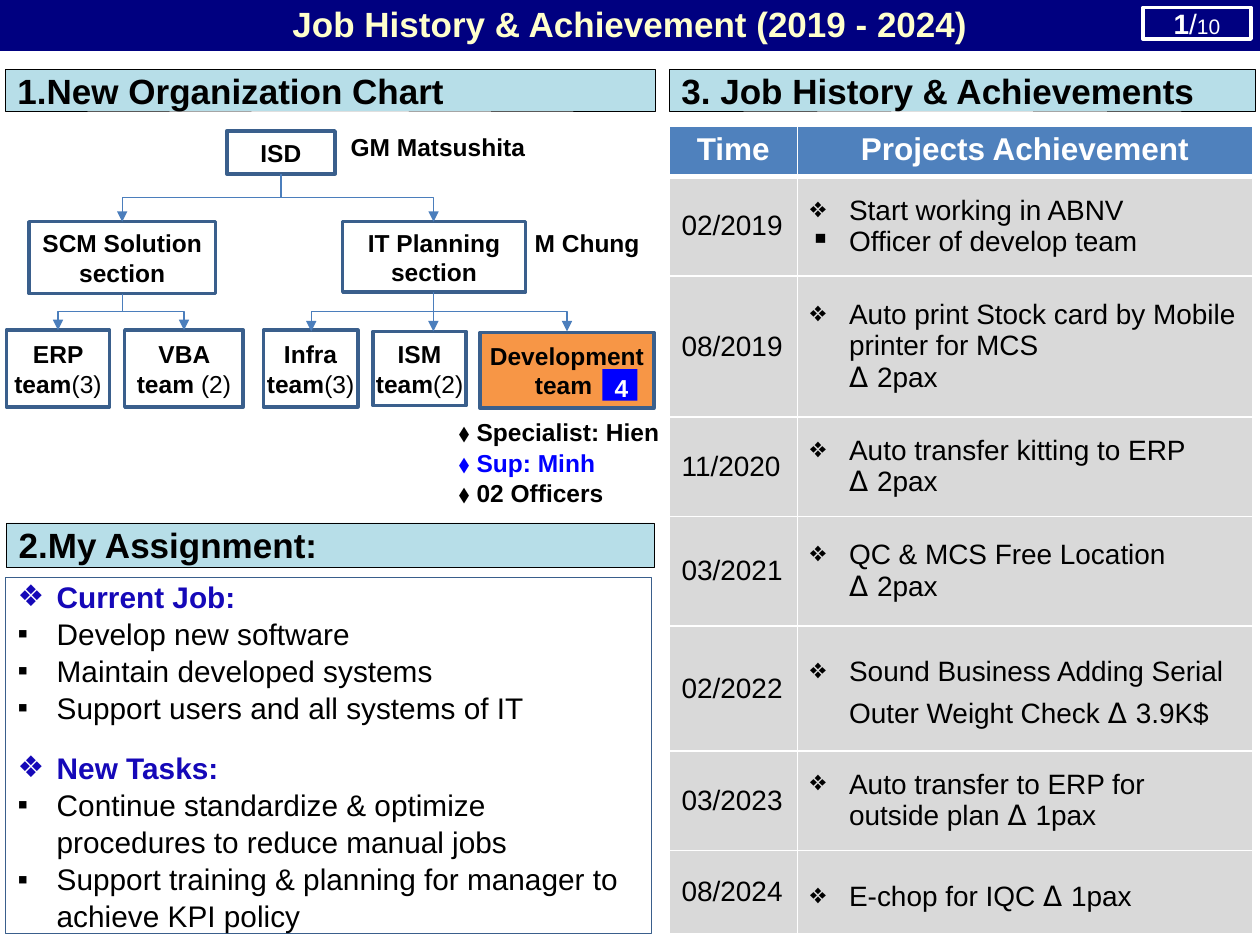
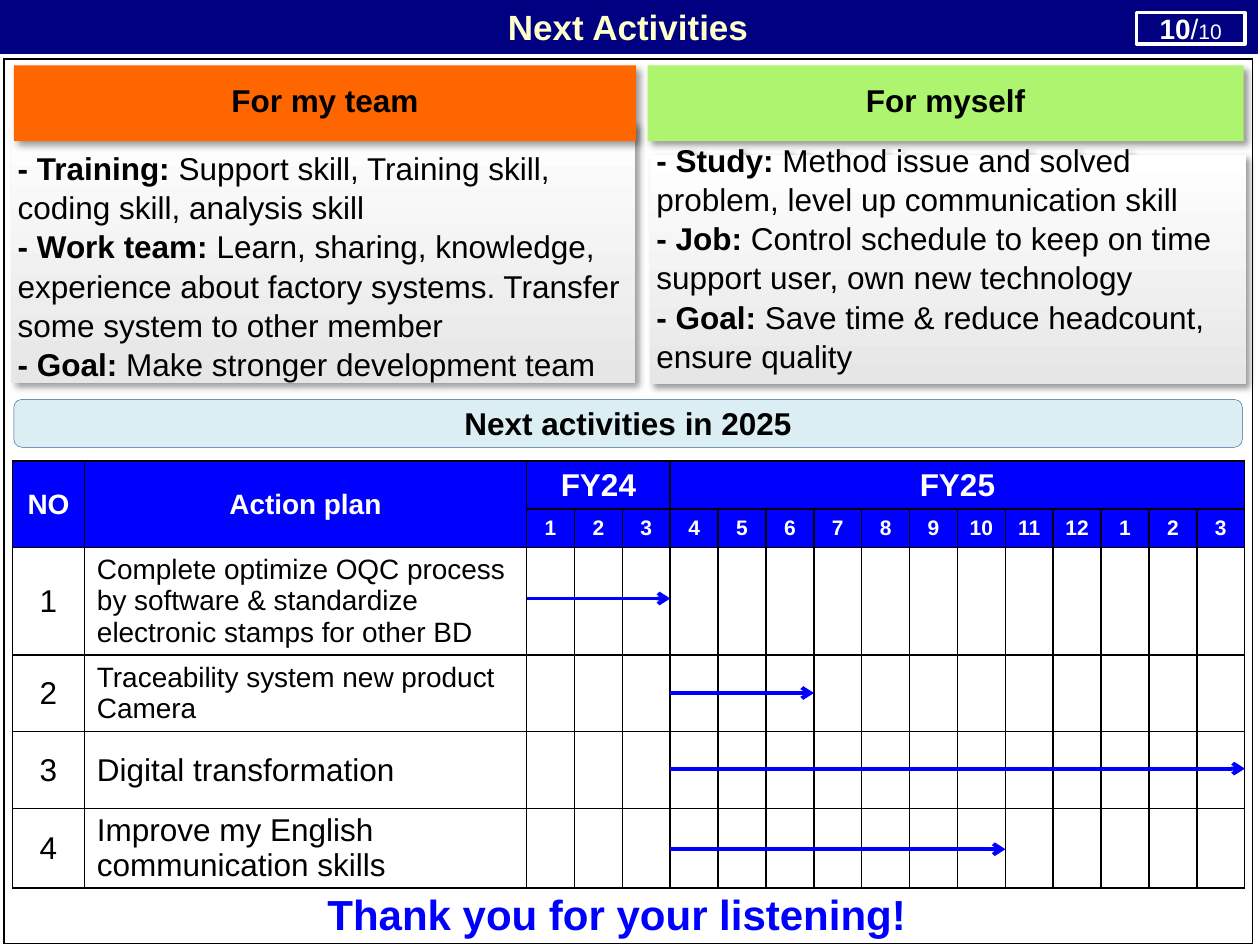
"""Build two slides on job history and next activities."""
from dataclasses import dataclass
from typing import Any, NamedTuple, Sequence

from lxml.etree import SubElement
from pptx import Presentation
from pptx.dml.color import RGBColor
from pptx.enum.shapes import MSO_CONNECTOR, MSO_SHAPE
from pptx.enum.text import MSO_ANCHOR, MSO_AUTO_SIZE, PP_ALIGN
from pptx.oxml.ns import qn
from pptx.util import Inches, Pt


@dataclass(frozen=True)
class Theme:
    """Colours, fonts and type sizes."""
    face: str = "Arial"
    math: str = "DejaVu Sans"
    black: str = "000000"
    white: str = "FFFFFF"
    navy: str = "000080"
    cream: str = "FFFFCC"
    blue: str = "0000FF"
    ink: str = "1508B8"
    edge: str = "3A5F8C"
    link: str = "4B7EBC"
    head: str = "4F81BD"
    sky: str = "B7DEE8"
    pale: str = "DBEEF4"
    grey: str = "D9D9D9"
    fade: str = "E6E6E6"
    amber: str = "F79646"
    orange: str = "FF6600"
    lime: str = "AEF46E"
    tiny: int = 12
    small: int = 14
    cell: int = 16
    list: int = 17
    body: int = 18
    title: int = 20
    close: int = 24
    lead: float = 1.04


T = Theme()
GAP = (0.1, 0.05, 0.1, 0.05)
TIGHT = (0.02, 0.05, 0.02, 0.05)
BARE = "{2D5ABB26-0587-4C30-8999-92F81FD0307C}"


class Run(NamedTuple):
    """A stretch of text in one format."""
    text: str
    size: int = T.body
    bold: bool = False
    tint: str = T.black
    face: str = T.face


class Para(NamedTuple):
    """A paragraph made of runs."""
    runs: Sequence[Run]
    mark: str = ""
    left: float = 0
    align: Any = PP_ALIGN.LEFT
    lead: Any = None
    before: float = 0


class Box(NamedTuple):
    """A place on the slide in inches."""
    x: float
    y: float
    w: float
    h: float


class Unit(NamedTuple):
    """A box of the organization chart."""
    box: Box
    name: str
    count: str = ""
    fill: str = ""
    inset: Sequence[float] = TIGHT


def rgb(tint: str) -> RGBColor:
    """Turn a hex string into a colour."""
    return RGBColor.from_string(tint)


def mid(*runs: Run, lead: Any = None) -> list[Para]:
    """Make one centred paragraph."""
    return [Para(runs, align=PP_ALIGN.CENTER, lead=lead)]


def write(frame: Any, paras: Sequence[Para]) -> None:
    """Fill a text frame run by run."""
    for i, para in enumerate(paras):
        line = frame.add_paragraph() if i else frame.paragraphs[0]
        props = line._p.get_or_add_pPr()
        props.set("marL", str(Inches(para.left)))
        props.set("indent", str(-Inches(para.left) if para.mark else 0))
        if para.mark:
            SubElement(props, qn("a:buChar")).set("char", para.mark)
        else:
            SubElement(props, qn("a:buNone"))
        line.alignment = para.align
        line.space_before = Pt(para.before)
        if para.lead:
            line.line_spacing = para.lead
        for item in para.runs:
            run = line.add_run()
            run.text = item.text
            run.font.name, run.font.size = item.face, Pt(item.size)
            run.font.bold, run.font.color.rgb = item.bold, rgb(item.tint)


def place(shape: Any, box: Box) -> None:
    """Move and size a shape."""
    shape.left, shape.top, shape.width, shape.height = map(Inches, box)


def style(shape: Any, paras: Sequence[Para], fill: str = "", edge: str = "", width: float = 0.25,
          inset: Sequence[float] = GAP, anchor: Any = MSO_ANCHOR.MIDDLE, wrap: bool = True) -> None:
    """Set the fill, line and text of a shape."""
    if fill:
        shape.fill.solid()
        shape.fill.fore_color.rgb = rgb(fill)
    else:
        shape.fill.background()
    if edge:
        shape.line.color.rgb, shape.line.width = rgb(edge), Pt(width)
    else:
        shape.line.fill.background()
    shape.shadow.inherit = False
    frame = shape.text_frame
    frame.auto_size, frame.word_wrap, frame.vertical_anchor = MSO_AUTO_SIZE.NONE, wrap, anchor
    frame.margin_left, frame.margin_top, frame.margin_right, frame.margin_bottom = map(Inches, inset)
    write(frame, paras)


def panel(slide: Any, box: Box, paras: Sequence[Para], kind: Any = MSO_SHAPE.RECTANGLE, **look: Any) -> Any:
    """Add a preset shape with text."""
    shape = slide.shapes.add_shape(kind, *map(Inches, box))
    style(shape, paras, **look)
    return shape


def label(slide: Any, box: Box, paras: Sequence[Para], **look: Any) -> None:
    """Add a plain text box."""
    style(slide.shapes.add_textbox(*map(Inches, box)), paras, **look)


def shade(shape: Any) -> None:
    """Give a shape a soft drop shadow."""
    effect = shape._element.spPr.find(qn("a:effectLst"))
    drop = SubElement(effect, qn("a:outerShdw"), blurRad=str(Pt(4)), dist=str(Pt(3)),
                      dir="2700000", algn="tl", rotWithShape="0")
    tint = SubElement(drop, qn("a:srgbClr"), val=T.black)
    SubElement(tint, qn("a:alpha"), val="40000")


def arrow(slide: Any, x1: float, y1: float, x2: float, y2: float, tint: str = T.link,
          width: float = 0.75, tip: str = "triangle") -> None:
    """Draw a straight arrow, or one that bends on its way down."""
    bent = x1 != x2 and y1 != y2
    ends = (x1, y1, x2, y2)
    if bent:
        cx, cy, dx, dy = (x1 + x2) / 2, (y1 + y2) / 2, abs(x2 - x1) / 2, (y2 - y1) / 2
        ends = (cx - dy, cy - dx, cx + dy, cy + dx)
    kind = MSO_CONNECTOR.ELBOW if bent else MSO_CONNECTOR.STRAIGHT
    line = slide.shapes.add_connector(kind, *map(Inches, ends))
    props = line._element.spPr
    if bent:
        frame = props.find(qn("a:xfrm"))
        frame.set("rot", "16200000" if x2 > x1 else "5400000")
        frame.set("flipH", "1" if x2 > x1 else "0")
    line.line.color.rgb, line.line.width = rgb(tint), Pt(width)
    SubElement(props.find(qn("a:ln")), qn("a:tailEnd"), type=tip)
    SubElement(props, qn("a:effectLst"))


def grid(slide: Any, x: float, y: float, cols: Sequence[float], rows: Sequence[float]) -> Any:
    """Add a bare table with set columns and rows."""
    size = map(Inches, (x, y, sum(cols), sum(rows)))
    table = slide.shapes.add_table(len(rows), len(cols), *size).table
    table._tbl.tblPr.find(qn("a:tableStyleId")).text = BARE
    for col, width in zip(table.columns, cols):
        col.width = Inches(width)
    for row, height in zip(table.rows, rows):
        row.height = Inches(height)
    return table


def border(cell: Any, tint: str, sides: str = "LRTB", thick: str = "") -> None:
    """Draw the sides of a cell, with some of them thick."""
    props = cell._tc.get_or_add_tcPr()
    for i, side in enumerate(sides):
        line = SubElement(props, qn(f"a:ln{side}"), w=str(Pt(3 if side in thick else 1)))
        SubElement(SubElement(line, qn("a:solidFill")), qn("a:srgbClr"), val=tint)
        props.insert(i, line)


def enter(cell: Any, paras: Sequence[Para], fill: str = "", inset: Sequence[float] = GAP,
          anchor: Any = MSO_ANCHOR.MIDDLE) -> None:
    """Fill a cell with text and colour."""
    if fill:
        cell.fill.solid()
        cell.fill.fore_color.rgb = rgb(fill)
    cell.vertical_anchor = anchor
    cell.margin_left, cell.margin_top, cell.margin_right, cell.margin_bottom = map(Inches, inset)
    write(cell.text_frame, paras)


def start(deck: Any, layout: int, title: str, band: Box, page: str, tag: Box) -> Any:
    """Add a slide with its title band and page tag."""
    slide = deck.slides.add_slide(deck.slide_layouts[layout])
    place(slide.shapes.title, band)
    style(slide.shapes.title, mid(Run(title, T.title, True, T.cream)), T.navy, T.navy, 0.75, wrap=False)
    panel(slide, tag, mid(Run(page, T.cell, True, T.white), Run("/", T.cell, False, T.white),
                          Run("10", T.tiny, False, T.white)), edge=T.white, width=2)
    return slide


def chart(slide: Any) -> None:
    """Draw the organization chart."""
    units = (
        Unit(Box(1.8, 1.04, 0.86, 0.34), "ISD", inset=GAP),
        Unit(Box(0.23, 1.76, 1.48, 0.57), "SCM Solution section", inset=GAP),
        Unit(Box(2.72, 1.76, 1.45, 0.56), "IT Planning section", inset=GAP),
        Unit(Box(0.05, 2.62, 0.82, 0.61), "ERP team", "(3)"),
        Unit(Box(0.99, 2.62, 0.94, 0.61), "VBA team ", "(2)"),
        Unit(Box(2.09, 2.62, 0.75, 0.61), "Infra team", "(3)"),
        Unit(Box(2.96, 2.63, 0.74, 0.59), "ISM team", "(2)"),
        Unit(Box(3.81, 2.64, 1.38, 0.6), "Development team ", fill=T.amber, inset=(0, 0, 0, 0)))
    for unit in units:
        runs = [Run(unit.name, T.small, True)] + ([Run(unit.count, T.small)] if unit.count else [])
        panel(slide, unit.box, mid(*runs), fill=unit.fill, edge=T.edge, width=2, inset=unit.inset)
    links = ((2.23, 1.38, 1.76, (0.97, 3.44)), (0.97, 2.33, 2.62, (0.46, 1.46)),
             (3.44, 2.32, 2.63, (2.47, 3.44, 4.5)))
    for x, top, foot, ends in links:
        for end in ends:
            arrow(slide, x, top, end, foot)
    panel(slide, Box(4.78, 2.93, 0.28, 0.25), mid(Run("4", T.small, True, T.white), lead=Pt(20)), fill=T.blue)
    for box, name in ((Box(2.68, 1, 1.59, 0.34), "GM Matsushita"), (Box(4.04, 1.76, 1.24, 0.29), "M Chung")):
        label(slide, box, mid(Run(name, T.small, True)), anchor=MSO_ANCHOR.TOP)
    staff = (("Specialist: Hien", T.black), ("Sup: Minh", T.blue), ("02 Officers", T.black))
    label(slide, Box(3.64, 3.25, 1.86, 0.83), inset=(0, 0, 0, 0), paras=[
        Para((Run("⬧ ", T.small, tint=tint), Run(name, T.small, True, tint)), lead=T.lead) for name, tint in staff])


def history(slide: Any) -> None:
    """Build the table of achievements."""
    def point(text: str, gain: str = "", mark: str = "❖", lead: Any = None) -> Para:
        runs = [Run(text, T.cell)] if text else []
        if gain:
            runs += [Run("Δ ", T.cell, face=T.math), Run(gain, T.cell)]
        return Para(runs, mark, 0.31, lead=lead)

    save = point("", "2pax", "")
    jobs = (
        ("02/2019", 0.79, [point("Start working in ABNV"), point("Officer of develop team", mark="▪")]),
        ("08/2019", 1.12, [point("Auto print Stock card by Mobile printer for MCS"), save]),
        ("11/2020", 0.79, [point("Auto transfer kitting to ERP"), save]),
        ("03/2021", 0.87, [point("QC & MCS Free Location"), save]),
        ("02/2022", 0.99, [point("Sound Business Adding Serial Outer Weight Check ", "3.9K$", lead=1.3)]),
        ("03/2023", 0.79, [point("Auto transfer to ERP for outside plan ", "1pax")]),
        ("08/2024", 0.66, [point("E-chop for IQC ", "1pax", lead=1.3)]))
    table = grid(slide, 5.31, 1, (1.02, 3.61), [0.4] + [job[1] for job in jobs])
    for i, name in enumerate(("Time", "Projects Achievement")):
        enter(table.cell(0, i), mid(Run(name, T.body, True, T.white)), T.head, anchor=MSO_ANCHOR.TOP)
        border(table.cell(0, i), T.white, thick="B")
    for i, (time, _, notes) in enumerate(jobs, 1):
        for j, paras in enumerate(([Para([Run(time, T.cell)])], notes)):
            enter(table.cell(i, j), paras, T.grey)
            border(table.cell(i, j), T.white, thick="T" if i == 1 else "")


def past(deck: Any) -> None:
    """Build the job history slide."""
    slide = start(deck, 1, "Job History & Achievement (2019 - 2024)", Box(0, -0.02, 10, 0.42),
                  "1", Box(9.07, 0.06, 0.86, 0.25))
    heads = ((Box(0.04, 0.55, 5.16, 0.33), "1.New Organization Chart"),
             (Box(0.05, 4.15, 5.14, 0.35), "2.My Assignment:"),
             (Box(5.31, 0.55, 4.65, 0.33), "3. Job History & Achievements"))
    for box, name in heads:
        panel(slide, box, [Para([Run(name, T.title, True)])], fill=T.sky, edge=T.black)
    tasks = (("Current Job:", ("Develop new software", "Maintain developed systems",
                               "Support users and all systems of IT")),
             ("New Tasks:", ("Continue standardize & optimize procedures to reduce manual jobs",
                             "Support training & planning for manager to achieve KPI policy")))
    paras = []
    for name, items in tasks:
        paras.append(Para([Run(name, T.list, True, T.ink)], "❖", 0.31, lead=T.lead, before=13 if paras else 0))
        paras += [Para([Run(item, T.list)], "▪", 0.31, lead=T.lead) for item in items]
    body = slide.placeholders[1]
    place(body, Box(0.04, 4.58, 5.13, 2.83))
    style(body, paras, T.white, T.edge)
    history(slide)
    chart(slide)


def plan(slide: Any) -> None:
    """Build the action plan with its month arrows."""
    first, step, tops = 4.18, 0.38, (4.75, 5.5, 6.1, 6.74)
    table = grid(slide, 0.1, 3.66, [0.57, 3.51] + [step] * 15, (0.38, 0.28, 0.85, 0.61, 0.61, 0.63))
    for row in table.rows:
        for cell in row.cells:
            border(cell, T.black)
    heads = ((0, 1, 0, "NO", T.cell), (1, 1, 1, "Action plan", T.cell),
             (2, 0, 4, "FY24", T.body), (5, 0, 16, "FY25", T.body))
    for col, row, last, name, size in heads:
        table.cell(0, col).merge(table.cell(row, last))
        enter(table.cell(0, col), mid(Run(name, size, True, T.white)), T.blue, (0.1, 0.03, 0.1, 0.03))
    for i in range(15):
        month = mid(Run(str(i % 12 + 1), T.tiny, True, T.white))
        enter(table.cell(1, i + 2), month, T.blue, (0, 0.06, 0, 0), MSO_ANCHOR.TOP)
    acts = (("Complete optimize OQC process by software & standardize electronic stamps for other BD", T.cell, 0, 3),
            ("Traceability system new product Camera", T.cell, 3, 6),
            ("Digital transformation", T.body, 3, 15),
            ("Improve my English communication skills", T.body, 3, 10))
    for i, (name, size, begin, end) in enumerate(acts):
        enter(table.cell(i + 2, 0), mid(Run(str(i + 1))), inset=(0, 0, 0, 0))
        enter(table.cell(i + 2, 1), [Para([Run(name, size)])], inset=(0.1, 0, 0, 0))
        arrow(slide, first + begin * step, tops[i], first + end * step, tops[i], T.blue, 2.25, "arrow")


def future(deck: Any) -> None:
    """Build the next activities slide."""
    slide = start(deck, 3, "Next Activities", Box(-0.01, 0, 9.99, 0.42), "10", Box(9.02, 0.1, 0.86, 0.25))
    frame = grid(slide, 0.03, 0.47, (5.02, 4.89), (7.02,))
    for i, sides in enumerate(("LTB", "RTB")):
        border(frame.cell(0, i), T.black, sides)
    goals = (
        (1, "For my team", T.orange, Box(0.11, 0.52, 4.94, 0.6), Box(0.09, 0.97, 4.95, 2.07), (0.05, 0.2, 0.05, 0),
         (("Training", "Support skill, Training skill, coding skill, analysis skill"),
          ("Work team", "Learn, sharing, knowledge, experience about factory systems. "
                        "Transfer some system to other member"),
          ("Goal", "Make stronger development team"))),
        (2, "For myself", T.lime, Box(5.14, 0.52, 4.73, 0.6), Box(5.16, 1.23, 4.73, 1.82), (0.05, 0, 0.05, 0.2),
         (("Study", "Method issue and solved problem, level up communication skill"),
          ("Job", "Control schedule to keep on time support user, own new technology"),
          ("Goal", "Save time & reduce headcount, ensure quality"))))
    for slot, name, tint, top, area, inset, items in goals:
        body = slide.placeholders[slot]
        place(body, area)
        style(body, [Para((Run(f"- {key}: ", bold=True), Run(text)), lead=T.lead) for key, text in items], inset=inset)
        body.fill.gradient()
        body.fill.gradient_angle = 90
        for stop, shade_tint in zip(body.fill.gradient_stops, (T.fade, T.white)):
            stop.color.rgb = rgb(shade_tint)
        shade(body)
        shade(panel(slide, top, mid(Run(name, bold=True)), fill=tint, inset=(0.1, 0, 0.1, 0.05)))
    panel(slide, Box(0.11, 3.17, 9.75, 0.38), mid(Run("Next activities in 2025", bold=True)),
          MSO_SHAPE.ROUNDED_RECTANGLE, fill=T.pale, edge=T.edge)
    plan(slide)
    label(slide, Box(-0.08, 7, 9.95, 0.5), mid(Run("Thank you for your listening!", T.close, True, T.blue)),
          anchor=MSO_ANCHOR.TOP)


def main() -> None:
    """Build and save the deck."""
    deck = Presentation()
    deck.slide_width, deck.slide_height = Inches(10), Inches(7.5)
    past(deck)
    future(deck)
    deck.save("out.pptx")


if __name__ == "__main__":
    main()
